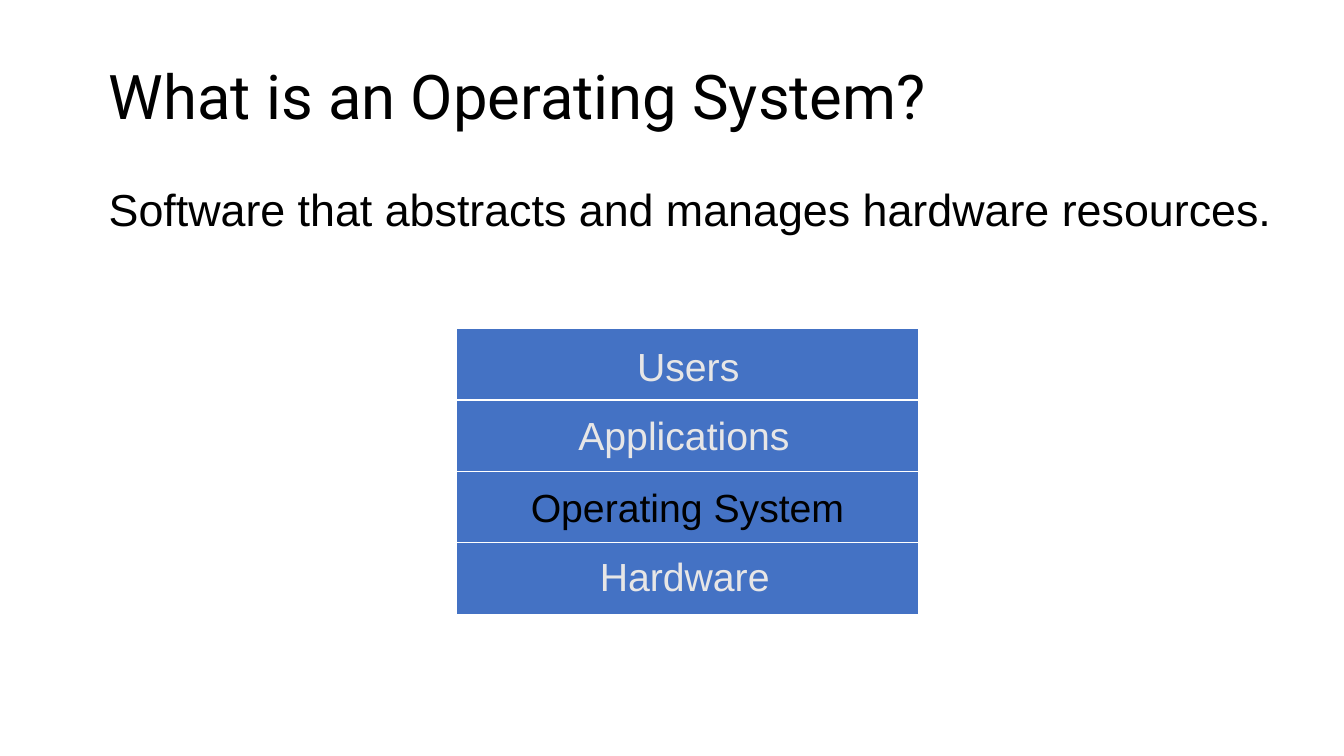
"""Build a slide that defines an operating system with a stack of layers."""
from pptx import Presentation
from pptx.dml.color import RGBColor
from pptx.enum.shapes import MSO_SHAPE
from pptx.enum.text import MSO_ANCHOR, PP_ALIGN
from pptx.util import Cm, Pt

COLORS = {"ink": "000000", "layer": "4472C4", "edge": "FFFFFF", "label": "E7E6E6"}


class LayerSlide:
    def __init__(self, deck):
        self.slide = deck.slides.add_slide(deck.slide_layouts[6])
        self.heading_font = "Roboto"
        self.body_font = "Arial"
        self.label_size = 28

    def color(self, name):
        return RGBColor.from_string(COLORS[name])

    def set_words(self, shape, words, size, color, font, align, anchor):
        frame = shape.text_frame
        frame.word_wrap = True
        frame.vertical_anchor = anchor
        frame.text = words
        paragraph = frame.paragraphs[0]
        paragraph.alignment = align
        run_font = paragraph.runs[0].font
        run_font.name = font
        run_font.size = Pt(size)
        run_font.color.rgb = self.color(color)
        return paragraph

    def text(self, box, words, size, color="ink", font=None,
             align=PP_ALIGN.LEFT, anchor=MSO_ANCHOR.TOP):
        shape = self.slide.shapes.add_textbox(*map(Cm, box))
        return self.set_words(shape, words, size, color, font or self.body_font, align, anchor)

    def title(self, box, words):
        self.text(box, words, 44, font=self.heading_font, anchor=MSO_ANCHOR.MIDDLE)

    def definition(self, box, words):
        paragraph = self.text(box, words, 32)
        paragraph.line_spacing = 0.9
        properties = paragraph._p.get_or_add_pPr()
        properties.set("marL", str(Cm(0.95)))
        properties.set("indent", str(-Cm(0.95)))

    def layer(self, box):
        bar = self.slide.shapes.add_shape(MSO_SHAPE.RECTANGLE, *map(Cm, box))
        bar.shadow.inherit = False
        bar.fill.solid()
        bar.fill.fore_color.rgb = self.color("layer")
        bar.line.color.rgb = self.color("edge")
        bar.line.width = Pt(0.75)
        return bar

    def layer_name(self, bar, words):
        self.set_words(bar, words, self.label_size, "ink", self.body_font,
                       PP_ALIGN.CENTER, MSO_ANCHOR.MIDDLE)

    def label(self, box, words):
        self.text(box, words, self.label_size, "label", align=PP_ALIGN.CENTER)


def main():
    deck = Presentation()
    deck.slide_width, deck.slide_height = Cm(33.87), Cm(19.05)
    page = LayerSlide(deck)
    page.title((2.49, 0.81, 29.74, 3.18), "What is an Operating System?")
    page.definition((2.49, 4.62, 30.15, 1.47),
                    "Software that abstracts and manages hardware resources.")

    stack_left, stack_top, layer_width, layer_height = 11.51, 8.28, 11.63, 1.8
    layers = [
        page.layer((stack_left, stack_top + level * layer_height, layer_width, layer_height))
        for level in range(4)
    ]
    page.layer_name(layers[2], "Operating System")

    for words, left, top, width in [
        ("Users", 14.5, 8.51, 5.69),
        ("Applications", 13.41, 10.24, 7.65),
        ("Hardware", 14.22, 13.79, 6.07),
    ]:
        page.label((left, top, width, 1.45), words)

    deck.save("out.pptx")


if __name__ == "__main__":
    main()
